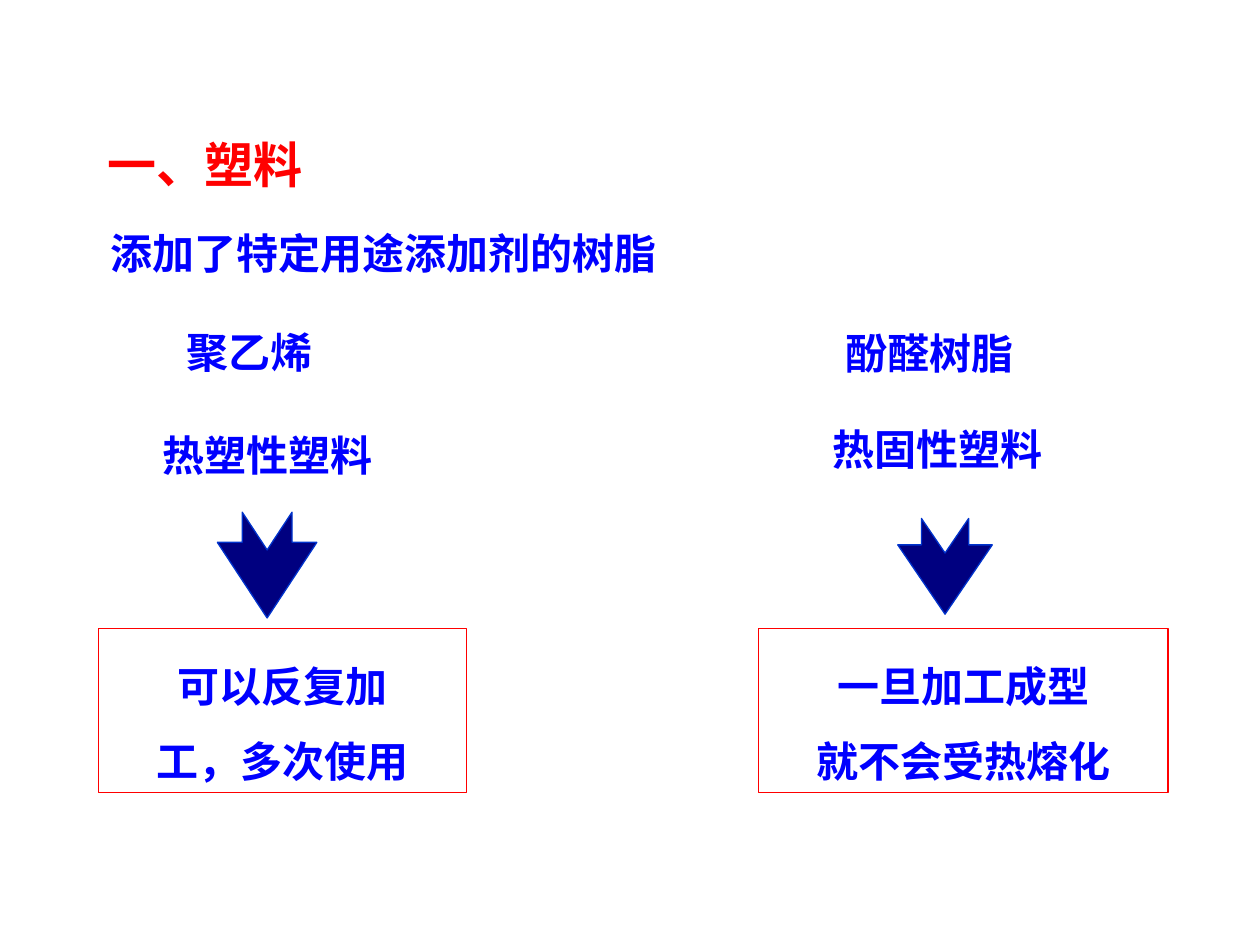
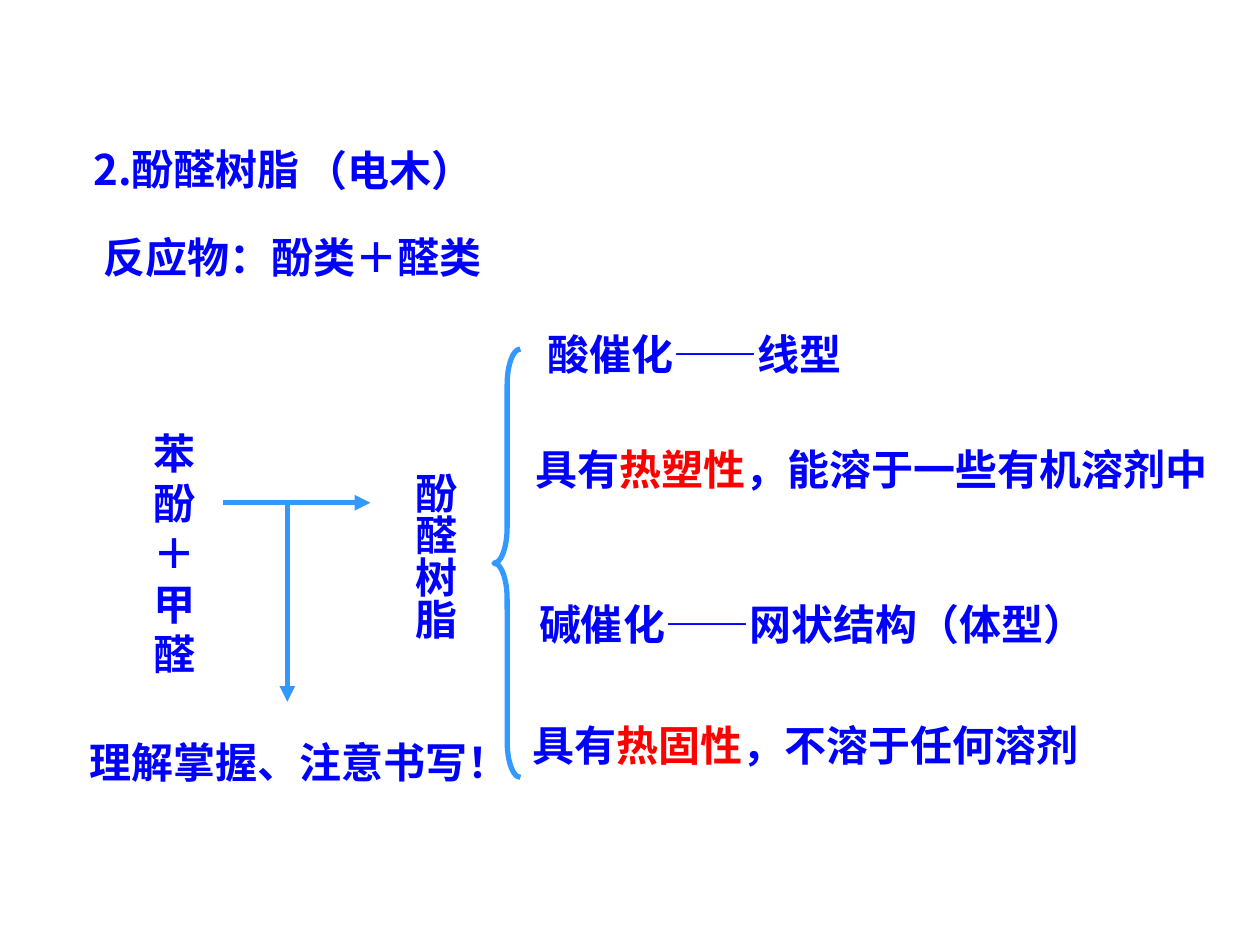
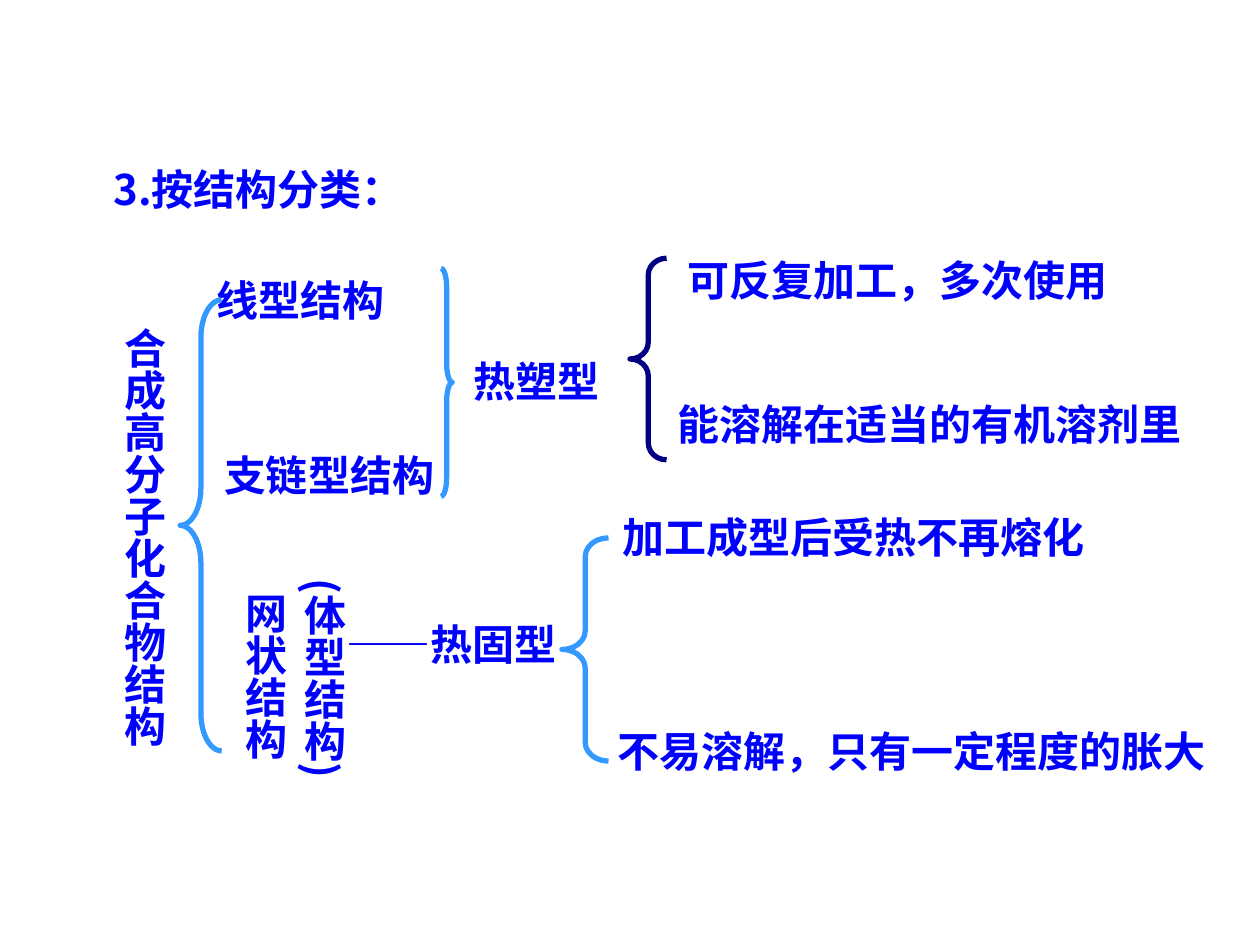
import pptx
import pptx.dml.color
import pptx.enum.dml
import pptx.enum.shapes
import pptx.enum.text
import pptx.oxml
import pptx.oxml.ns
import pptx.util

Inches = pptx.util.Inches
Pt = pptx.util.Pt
Shape = pptx.enum.shapes.MSO_SHAPE
Align = pptx.enum.text.PP_ALIGN

COLORS = {"text": "0000FF", "accent": "FF0000", "navy": "000080",
          "edge": "0033CC", "sky": "3399FF"}
FONT = "Noto Sans CJK SC"
LABEL_HEIGHT = 0.5
COLUMN_WIDTH = 0.6

# Content: titles are (text, left, top, width, height, size, colour)
# Labels are (text, left, top, width); in a tuple of parts every second is accented
# Columns of vertical text are (text, left, top, height)
# Braces are (shape, left, top, width, height, colour)
PLASTICS = {
    "title": ("一、塑料", 0.75, 1.02, 4.67, 0.57, 28, "accent"),
    "labels": [
        ("添加了特定用途添加剂的树脂", 0.78, 1.76, 7.63),
        ("聚乙烯", 1.38, 2.54, 2.54),
        ("酚醛树脂", 6.61, 2.55, 2.48),
        ("热塑性塑料", 1.19, 3.36, 3.34),
        ("热固性塑料", 6.51, 3.31, 3.25),
    ],
}
# (lines, left, width)
PROPERTIES = [
    (["可以反复加", "工，多次使用"], 0.78, 2.92),
    (["一旦加工成型", "就不会受热熔化"], 6.02, 3.25),
]
# (left, top, length, breadth, head length)
DOWN_ARROWS = [(1.7, 4.09, 0.84, 0.79, 0.6), (7.12, 4.12, 0.76, 0.75, 0.55)]

PHENOLIC = {
    "title": ("2.酚醛树脂", 0.64, 1.09, 3.08, LABEL_HEIGHT, 24, "text"),
    "labels": [
        ("（电木）", 2.33, 1.1, 2.85),
        ("反应物：酚类＋醛类", 0.72, 1.79, 5.93),
        ("酸催化——线型", 4.25, 2.56, 3.86),
        (("具有", "热塑性", "，能溶于一些有机溶剂中"), 4.15, 3.47, 5.62),
        ("碱催化——网状结构（体型）", 4.18, 4.7, 4.67),
        (("具有", "热固性", "，不溶于任何溶剂"), 4.13, 5.66, 5.58),
    ],
    "columns": [("酚醛树脂", 3.1, 3.65, 1.64)],
    "braces": [(Shape.LEFT_BRACE, 3.92, 2.77, 0.21, 3.4, "sky")],
}
REMINDER = ("理解掌握、注意书写！", 0.58, 5.8, 3.59)
REACTANTS = ["苯", "酚", "＋", "甲", "醛"]
REACTION_ARROWS = [(1.77, 3.99, 2.94, 3.99), (2.28, 3.98, 2.28, 5.57)]

STRUCTURES = {
    "title": ("3.按结构分类：", 0.8, 1.25, 2.58, LABEL_HEIGHT, 24, "text"),
    "labels": [
        ("线型结构", 1.62, 2.13, 1.89),
        ("支链型结构", 1.68, 3.52, 2),
        ("——热固型", 2.65, 4.86, 2.1),
        ("热塑型", 3.66, 2.77, 1.61),
        ("可反复加工，多次使用", 5.36, 1.97, 4.42),
        ("能溶解在适当的有机溶剂里", 5.28, 3.11, 4.33),
        ("加工成型后受热不再熔化", 4.84, 4.01, 4.86),
    ],
    "columns": [
        ("合成高分子化合物结构", 0.79, 2.5, 3.56),
        ("网状结构", 1.75, 4.6, 2.07),
        ("(体型结构)", 2.22, 4.49, 2.03),
    ],
    "braces": [
        (Shape.LEFT_BRACE, 1.43, 2.38, 0.33, 3.58, "sky"),
        (Shape.RIGHT_BRACE, 3.5, 2.13, 0.09, 1.81, "sky"),
        (Shape.LEFT_BRACE, 5, 2.05, 0.29, 1.6, "navy"),
        (Shape.LEFT_BRACE, 4.46, 4.27, 0.37, 1.77, "sky"),
    ],
}
SWELLING = ("不易溶解，只有一定程度的胀大", 4.8, 5.67, 5.12)


def rgb(name):
    return pptx.dml.color.RGBColor.from_string(COLORS[name])


def add_span(para, text, size, color, font):
    span = para.add_run()
    span.text = text
    span.font.size = Pt(size)
    span.font.bold = True
    span.font.name = font
    span.font.color.rgb = rgb(color)
    east_asian = pptx.oxml.parse_xml(
        f'<a:ea {pptx.oxml.ns.nsdecls("a")} typeface="{font}"/>')
    span.font._element.find(pptx.oxml.ns.qn("a:latin")).addnext(east_asian)


def write(box, lines, size=24, color="text", font=FONT, align=Align.LEFT,
          spacing=None, vertical=False):
    frame = box.text_frame
    frame.word_wrap = True
    frame.auto_size = pptx.enum.text.MSO_AUTO_SIZE.NONE
    frame.vertical_anchor = pptx.enum.text.MSO_ANCHOR.TOP
    side, end = (0.05, 0.1) if vertical else (0.1, 0.05)
    frame.margin_left = frame.margin_right = Inches(side)
    frame.margin_top = frame.margin_bottom = Inches(end)
    if vertical:
        frame._txBody.bodyPr.set("vert", "eaVert")
    for index, line in enumerate(lines):
        para = frame.add_paragraph() if index else frame.paragraphs[0]
        para.alignment = align
        if spacing:
            para.line_spacing = spacing
        parts = (line,) if isinstance(line, str) else line
        for number, part in enumerate(parts):
            add_span(para, part, size, "accent" if number % 2 else color, font)


def add_box(page, lines, left, top, width, height=LABEL_HEIGHT, **style):
    box = page.shapes.add_textbox(*map(Inches, (left, top, width, height)))
    write(box, lines, **style)


def add_outline(page, kind, left, top, width, height, color, weight):
    shape = page.shapes.add_shape(kind, *map(Inches, (left, top, width, height)))
    shape.shadow.inherit = False
    shape.fill.background()
    shape.line.color.rgb = rgb(color)
    shape.line.width = Pt(weight)
    return shape


def add_brace(page, kind, left, top, width, height, color):
    brace = add_outline(page, kind, left, top, width, height, color, 3)
    # Each curl takes one twelfth of the height
    brace.adjustments[0] = height / 12 / min(width, height)


def add_down_arrow(page, left, top, length, breadth, head):
    arrow = add_outline(page, Shape.NOTCHED_RIGHT_ARROW, left, top, length,
                        breadth, "edge", 0.75)
    arrow.rotation = 90
    arrow.adjustments[1] = head / breadth
    arrow.fill.solid()
    arrow.fill.fore_color.rgb = rgb("navy")


def add_reaction_arrow(page, *ends):
    arrow = page.shapes.add_connector(
        pptx.enum.shapes.MSO_CONNECTOR.STRAIGHT, *map(Inches, ends))
    arrow.line.color.rgb = rgb("sky")
    arrow.line.width = Pt(3)
    namespace = pptx.oxml.ns.nsdecls("a")
    arrow.line._get_or_add_ln().append(
        pptx.oxml.parse_xml(f'<a:tailEnd {namespace} type="triangle"/>'))
    arrow._element.spPr.append(pptx.oxml.parse_xml(f"<a:effectLst {namespace}/>"))


def add_page(deck, content):
    page = deck.slides.add_slide(deck.slide_layouts[5])
    text, left, top, width, height, size, color = content["title"]
    title = page.shapes.title
    title.left, title.top = Inches(left), Inches(top)
    title.width, title.height = Inches(width), Inches(height)
    write(title, [text], size=size, color=color)
    for text, *place in content["labels"]:
        add_box(page, [text], *place)
    for text, left, top, height in content.get("columns", []):
        add_box(page, [text], left, top, COLUMN_WIDTH, height, vertical=True)
    for brace in content.get("braces", []):
        add_brace(page, *brace)
    return page


def main():
    deck = pptx.Presentation()
    deck.slide_width, deck.slide_height = Inches(10), Inches(7.5)

    # Plastics: two kinds, each leading to its property
    page = add_page(deck, PLASTICS)
    for lines, left, width in PROPERTIES:
        box = add_outline(page, Shape.RECTANGLE, left, 4.99, width, 1.3,
                          "accent", 0.75)
        write(box, lines, align=Align.CENTER, spacing=1.5)
    for arrow in DOWN_ARROWS:
        add_down_arrow(page, *arrow)

    # Phenolic resin: reaction and catalysts
    page = add_page(deck, PHENOLIC)
    text, *place = REMINDER
    add_box(page, [text], *place, align=Align.CENTER)
    add_box(page, REACTANTS, 1.12, 3.34, 0.59, 2.1, font="Arial")
    for ends in REACTION_ARROWS:
        add_reaction_arrow(page, *ends)

    # Classification by structure
    page = add_page(deck, STRUCTURES)
    text, *place = SWELLING
    add_box(page, [text], *place, height=0.54, spacing=1.1)

    deck.save("out.pptx")


if __name__ == "__main__":
    main()
